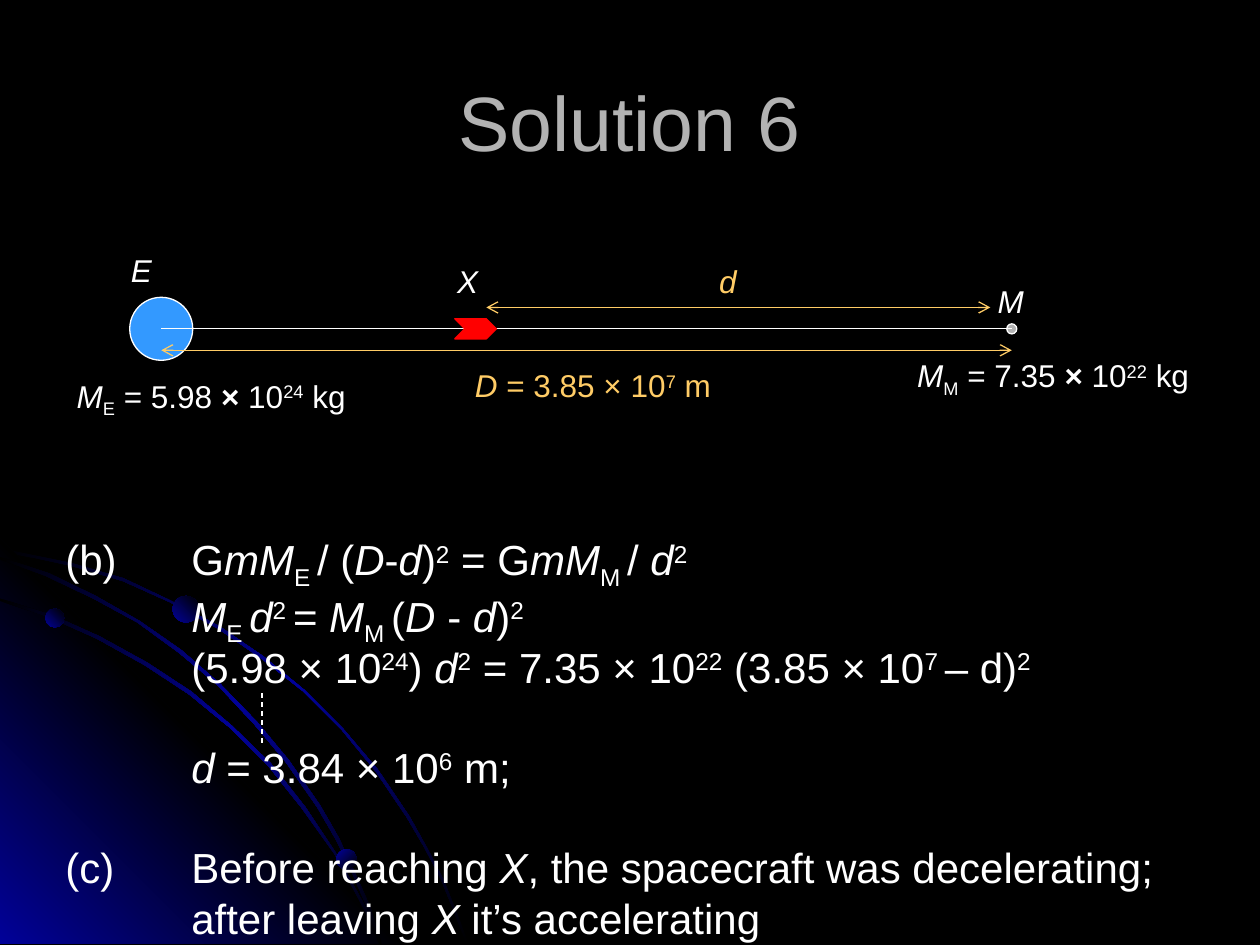
from lxml import etree
from pptx import Presentation
from pptx.dml.color import RGBColor
from pptx.enum.dml import MSO_LINE
from pptx.enum.shapes import MSO_CONNECTOR, MSO_SHAPE
from pptx.enum.text import MSO_ANCHOR, PP_ALIGN
from pptx.oxml import parse_xml
from pptx.oxml.ns import nsdecls, qn
from pptx.util import Inches, Pt

COLUMNS = 1000
SLIDE_WIDTH, SLIDE_HEIGHT = Inches(10), Inches(7.5)
UNIT = SLIDE_WIDTH // COLUMNS
STRAIGHT, ELLIPSE = MSO_CONNECTOR.STRAIGHT, MSO_SHAPE.OVAL
DASH, CENTER = MSO_LINE.DASH, PP_ALIGN.CENTER
TOP, MIDDLE = MSO_ANCHOR.TOP, MSO_ANCHOR.MIDDLE
FONT = "Arial"
COLORS = {
    "black": "000000", "navy": "010199", "white": "FFFFFF", "gray": "B2B2B2",
    "earth": "3399FF", "craft": "FF0000", "measure": "FFCC66",
}
RUN_STYLES = {
    "n": {}, "i": {"italic": True}, "b": {"bold": True},
    "d": {"baseline": "-25000"}, "u": {"baseline": "30000"},
}
RIBBONS = [
    [(57, 447), (28, 441), (0, 435), (0, 438), (28, 443), (56, 449), (97, 461),
     (135, 478), (173, 499), (208, 523), (241, 549), (271, 579), (298, 612),
     (323, 649), (337, 673), (350, 698), (360, 723), (370, 749), (372, 749),
     (362, 723), (352, 698), (339, 673), (325, 648), (300, 611), (272, 578),
     (242, 548), (209, 521), (174, 497), (136, 477), (98, 459)],
    [(285, 714), (294, 732), (301, 749), (303, 749), (296, 730), (286, 712),
     (266, 676), (242, 640), (215, 606), (184, 576), (152, 549), (117, 526),
     (79, 505), (41, 488), (0, 475), (0, 477), (39, 490), (77, 507), (115, 528),
     (150, 551), (183, 578), (213, 608), (240, 642), (265, 677)],
    [(0, 442), (0, 444), (36, 457), (74, 475), (109, 494), (142, 518), (173, 544),
     (202, 575), (227, 605), (252, 641), (267, 667), (280, 694), (292, 722),
     (301, 749), (303, 749), (294, 720), (282, 693), (269, 665), (254, 639),
     (229, 603), (204, 573), (175, 543), (144, 516), (111, 493), (76, 473),
     (39, 455)],
]
GLOW = [(322, 749), (0, 749), (0, 427)]


def color(name):
    return RGBColor.from_string(COLORS[name])


def place(box, column, row, width, height):
    return (box[0] + column, box[1] + row, width, height)


def paint(shape, fill, line=None):
    shape.shadow.inherit = False
    shape.fill.solid()
    shape.fill.fore_color.rgb = color(fill)
    if line:
        shape.line.color.rgb = color(line)
        shape.line.width = Pt(0.75)
    else:
        shape.line.fill.background()


def paint_gradient(shape, names, angle):
    shape.shadow.inherit = False
    step = 100000 // (len(names) - 1)
    stops = "".join(
        f'<a:gs pos="{index * step}"><a:srgbClr val="{COLORS[name]}"/></a:gs>'
        for index, name in enumerate(names))
    shape._element.spPr.insert(2, parse_xml(
        f'<a:gradFill {nsdecls("a")} rotWithShape="1"><a:gsLst>{stops}</a:gsLst>'
        f'<a:lin ang="{angle * 60000}" scaled="0"/></a:gradFill>'))
    shape.line.fill.background()


def add_ellipse(slide, box):
    return slide.shapes.add_shape(ELLIPSE, *(value * UNIT for value in box))


def add_outline(slide, box, points):
    moved = [(box[0] + column, box[1] + row) for column, row in points]
    builder = slide.shapes.build_freeform(*moved[0], scale=UNIT)
    builder.add_line_segments(moved[1:], close=True)
    return builder.convert_to_shape()


def add_line(slide, box, start, end, name, arrows=False, dash=None):
    ends = [(box[i] + point[i]) * UNIT for point in (start, end) for i in (0, 1)]
    connector = slide.shapes.add_connector(STRAIGHT, *ends)
    connector.line.color.rgb = color(name)
    connector.line.width = Pt(0.75)
    if dash:
        connector.line.dash_style = dash
    if arrows:
        line = connector.line._get_or_add_ln()
        for tag in ("a:headEnd", "a:tailEnd"):
            etree.SubElement(line, qn(tag), type="arrow")
    etree.SubElement(connector._element.spPr, qn("a:effectLst"))


def add_runs(paragraph, markup, size, name):
    for piece in markup.split("|"):
        run = paragraph.add_run()
        run.text = piece[1:]
        style = RUN_STYLES[piece[0]]
        for key, value in {"name": FONT, "size": Pt(size), **style}.items():
            if key == "baseline":
                run._r.get_or_add_rPr().set(key, value)
            else:
                setattr(run.font, key, value)
        run.font.color.rgb = color(name)


def add_text(slide, box, paragraphs, size, name, wrap=True, anchor=TOP, tab=None):
    shape = slide.shapes.add_textbox(*(value * UNIT for value in box))
    frame = shape.text_frame
    frame.word_wrap = wrap
    frame.vertical_anchor = anchor
    for index, (markup, formats) in enumerate(paragraphs):
        paragraph = frame.paragraphs[0] if index == 0 else frame.add_paragraph()
        if tab:
            tabs = etree.SubElement(paragraph._p.get_or_add_pPr(), qn("a:tabLst"))
            etree.SubElement(tabs, qn("a:tab"), pos=str(tab * UNIT), algn="l")
        for key, value in formats.items():
            setattr(paragraph, key, value)
        add_runs(paragraph, markup, size, name)


def add_backdrop(slide, box):
    ribbon = ("black", "navy", "black")
    paint_gradient(add_outline(slide, box, RIBBONS[0]), ribbon, 45)
    paint_gradient(add_outline(slide, box, GLOW), ("navy", "black", "navy"), 315)
    for points in RIBBONS[1:]:
        paint_gradient(add_outline(slide, box, points), ribbon, 45)
    for column, row, size, angle in [(36, 483, 15, 315), (267, 674, 16, 45),
                                     (137, 473, 21, 315)]:
        ball = add_ellipse(slide, place(box, column, row, size, size))
        paint_gradient(ball, ("navy", "black"), angle)


def add_title(slide, box):
    add_text(slide, box, [("nSolution 6", {"alignment": CENTER})], 44, "gray",
             anchor=MIDDLE)


def add_diagram(slide, box):
    axis, earth, moon = 67, 77, 752
    for center, size, fill in [(earth, 50, "earth"), (moon, 8, "gray")]:
        body = place(box, center - size // 2, axis - size // 2, size, size)
        paint(add_ellipse(slide, body), fill, "white")
    add_line(slide, box, (earth, axis), (moon, axis), "white")
    craft = [(310, -8), (335, -8), (343, 0), (335, 8), (310, 8), (318, 0)]
    craft = [(column, axis + row) for column, row in craft]
    paint(add_outline(slide, box, craft), "craft", "craft")
    for start, end, row in [(335, 735, axis - 17), (earth, moon, axis + 17)]:
        add_line(slide, box, (start, row), (end, row), "measure", arrows=True)
    for markup, column, row, name in [("iX", 302, 9, "white"), ("iE", 43, 0, "white"),
                                      ("iM", 731, 25, "white"), ("id", 510, 9, "measure")]:
        add_text(slide, place(box, column, row, 58, 40), [(markup, {})], 18, name)
    for markup, column, row, width, height, name in [
            ("iM|dE|n = 5.98 |b×|n 10|u24|n kg", 0, 100, 239, 44, "white"),
            ("iM|dM|n = 7.35 |b×|n 10|u22|n kg", 667, 84, 241, 44, "white"),
            ("iD|n = 3.85 × 10|u7|n m", 316, 92, 212, 40, "measure")]:
        add_text(slide, place(box, column, row, width, height), [(markup, {})], 18,
                 name, wrap=False)


def add_solution(slide, box):
    first = {"line_spacing": 0.8}
    close = {**first, "space_before": Pt(6)}
    apart = {**first, "space_before": Pt(34)}
    paragraphs = [
        ("n(b)\tG|imM|dE |n/ (|iD|n-|id|n)|u2|n = G|imM|dM |n/ |id|u2", first),
        ("i\tM|dE |id|u2 |n= |iM|dM |n(|iD |n- |id|n)|u2", close),
        ("n\t(5.98 × 10|u24|n) |id|u2|n = 7.35 × 10|u22|n (3.85 × 10|u7 |n– d)|u2", {}),
        ("i\td|n = 3.84 × 10|u6|n m;", apart),
        ("n(c) \tBefore reaching |iX|n, the spacecraft was decelerating;", apart),
        ("n\tafter leaving |iX|n it’s accelerating", close),
    ]
    add_text(slide, box, paragraphs, 24, "white", tab=100)
    add_line(slide, box, (166, 127), (166, 169), "white", dash=DASH)


def main():
    presentation = Presentation()
    presentation.slide_width, presentation.slide_height = SLIDE_WIDTH, SLIDE_HEIGHT
    slide = presentation.slides.add_slide(presentation.slide_layouts[6])
    slide.background.fill.solid()
    slide.background.fill.fore_color.rgb = color("black")
    add_backdrop(slide, (0, 0, 1000, 750))
    add_title(slide, (50, 33, 900, 125))
    add_solution(slide, (42, 423, 942, 327))
    add_diagram(slide, (51, 194, 908, 144))
    presentation.save("out.pptx")


if __name__ == "__main__":
    main()
